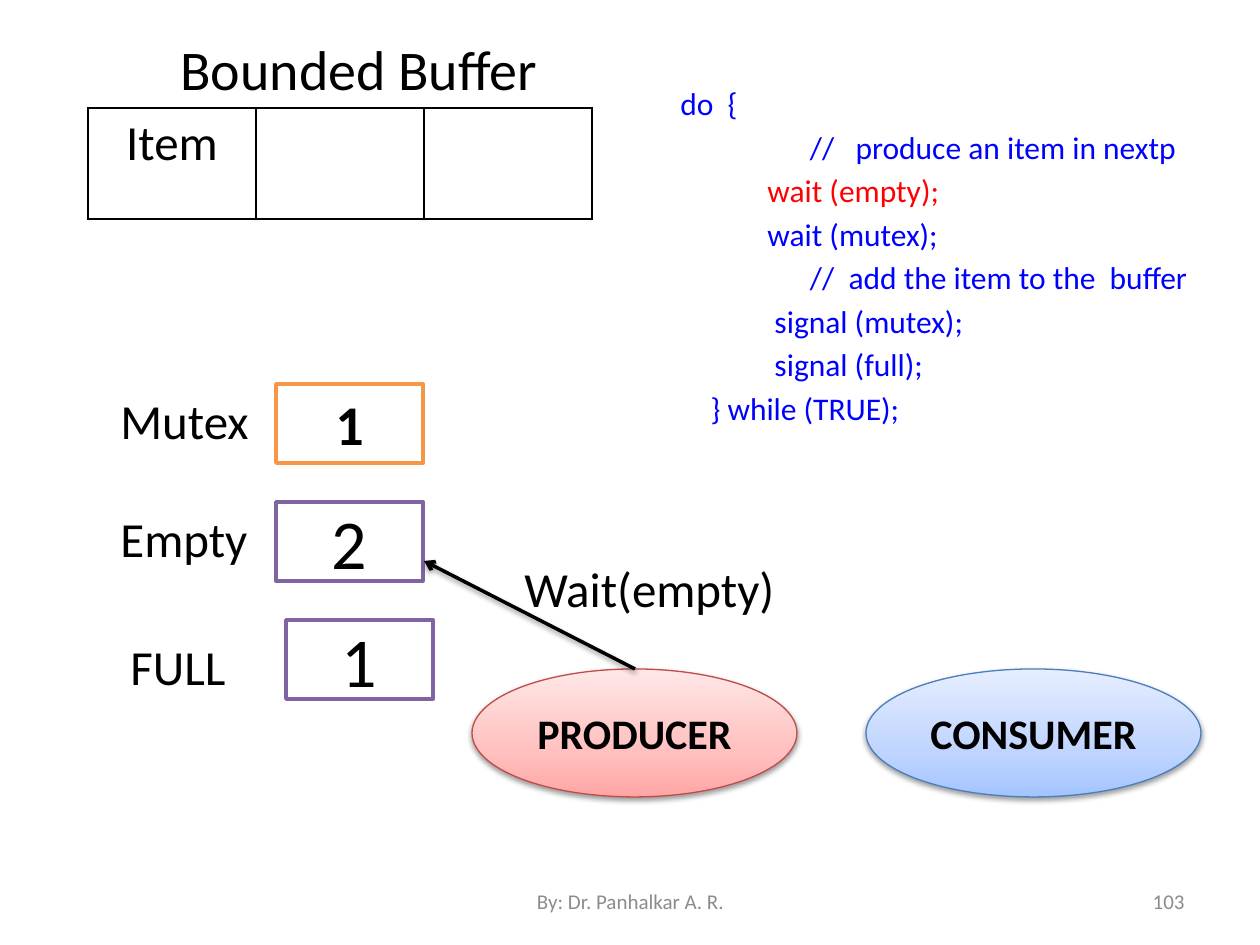
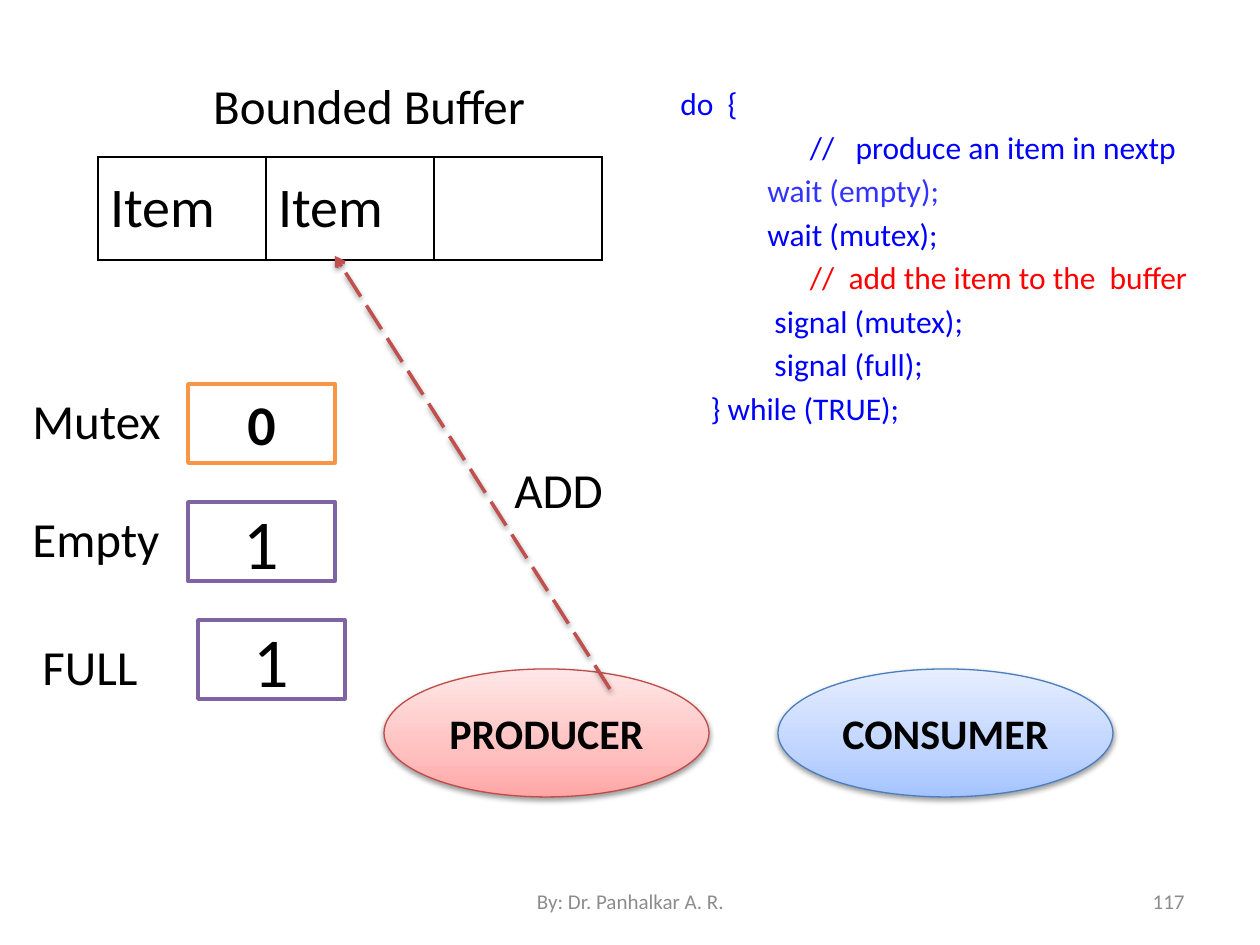
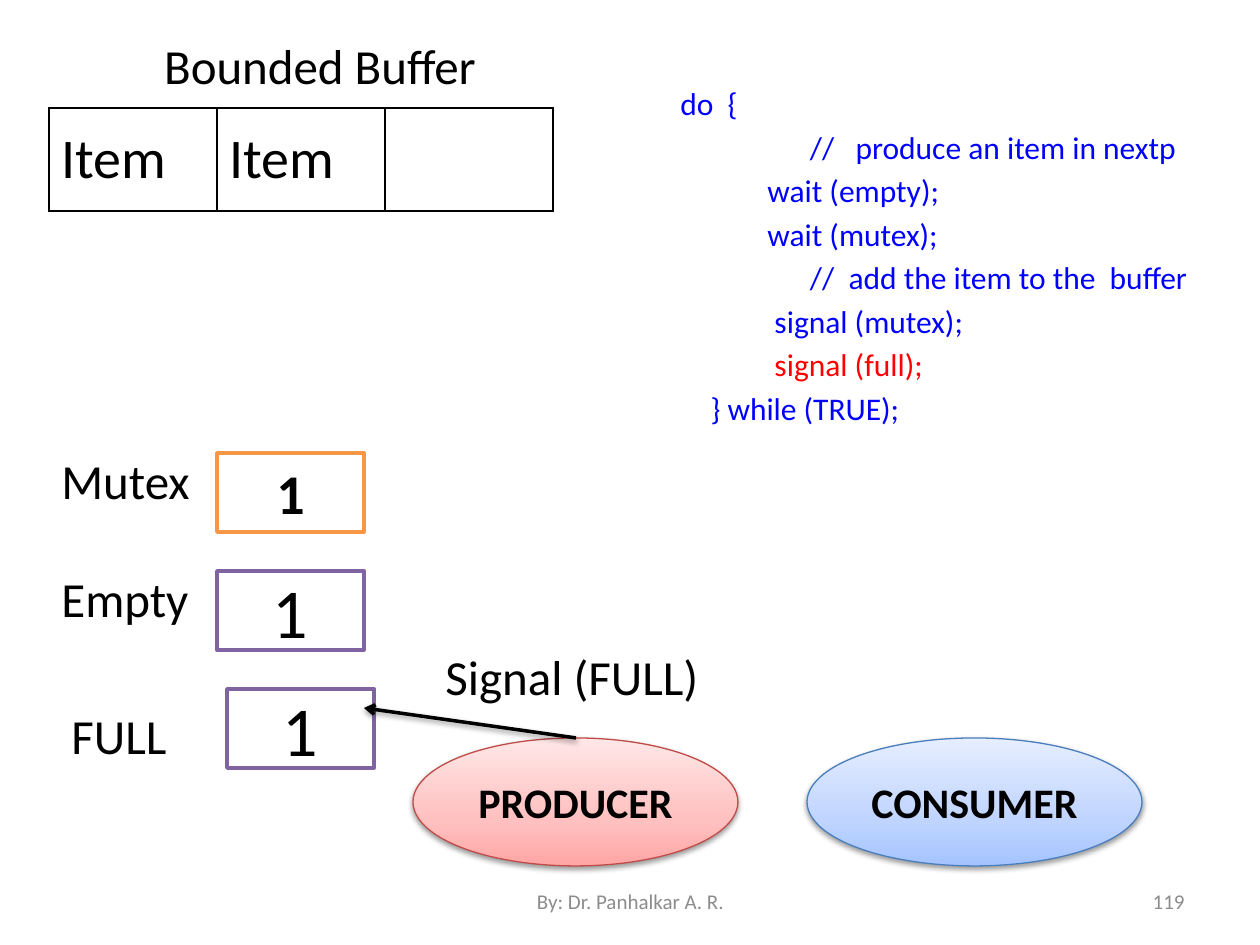
import copy

import lxml.etree
import pptx
import pptx.dml.color
import pptx.enum.dml
import pptx.enum.shapes
import pptx.enum.text
import pptx.oxml
import pptx.oxml.ns
import pptx.util

# Shared look
PX = 914400 // 126
FONT = "Calibri"
BLACK, WHITE, GREY = "000000", "FFFFFF", "8C8C8C"
BLUE, PALE_BLUE, RED, BRICK = "0000FF", "3333FF", "FF0000", "C0504D"
ORANGE, PURPLE = "F79646", "8064A2"
ALIGN = pptx.enum.text.PP_ALIGN
ANCHOR = pptx.enum.text.MSO_ANCHOR
SHAPE = pptx.enum.shapes.MSO_SHAPE

# Content shared by all slides
FOOTER = "By: Dr. Panhalkar A. R."
CODE = [
    "\tdo  {",
    "                         //   produce an item in nextp",
    "                   wait (empty);",
    "                   wait (mutex);",
    "                         //  add the item to the  buffer",
    "                    signal (mutex);",
    "                    signal (full);",
    "           } while (TRUE);",
]
# name, x shift, label width, label drop, outline, text size, bold
SEMAPHORES = [
    ("Mutex", 0, 168, 0, ORANGE, 32, True),
    ("Empty", 0, 256, 0, PURPLE, 40, False),
    ("FULL", 10, 256, 10, PURPLE, 40, False),
]
# name, left, width, outline, gradient stops
PROCESSES = [
    ("PRODUCER", 472, 325, "BF4C48", [(0, "FFA6A5"), (0.35, "FFC0BF"), (1, "FFE7E7")]),
    ("CONSUMER", 866, 335, "4B7EBC", [(0, "A4C4FF"), (0.35, "BFD4FF"), (1, "E6EEFF")]),
]

# What differs: shift moves semaphores and processes together
STEPS = [
    dict(number="103", title=(98, 28, 522, 81, 32), table=(88, 108, 504, 111),
         items=["Item", "", ""], item_style=(28, ALIGN.CENTER, ANCHOR.TOP),
         shift=(0, 0), label_rise=0, values="121", highlights={2: RED},
         arrow=(635, 669, 424, 561, BLACK, False),
         action=("Wait(empty)", 512, 552, 305)),
    dict(number="117", title=(108, 69, 522, 72, 28), table=(98, 157, 504, 103),
         items=["Item", "Item", ""], item_style=(32, ALIGN.LEFT, ANCHOR.MIDDLE),
         shift=(-88, 0), label_rise=0, values="011",
         highlights={2: PALE_BLUE, 4: RED},
         arrow=(610, 689, 335, 256, BRICK, True),
         action=("ADD", 502, 453, 178)),
    dict(number="119", title=(59, 29, 522, 72, 28), table=(49, 108, 504, 103),
         items=["Item", "Item", ""], item_style=(32, ALIGN.LEFT, ANCHOR.MIDDLE),
         shift=(-59, 69), label_rise=9, values="111", highlights={6: RED},
         arrow=(576, 738, 364, 708, BLACK, False),
         action=("Signal (FULL)", 433, 640, 403)),
]


def px(*lengths):
    return [pptx.util.Emu(length * PX) for length in lengths]


def rgb(value):
    return pptx.dml.color.RGBColor.from_string(value)


def xml(parent, markup):
    """Append one drawing element written without its namespace."""
    tag, _, rest = markup.partition(" ")
    element = pptx.oxml.parse_xml(f'<a:{tag} {pptx.oxml.ns.nsdecls("a")} {rest}')
    parent.append(element)
    return element


def write(para, text, size, color=BLACK, bold=False, align=ALIGN.LEFT):
    para.alignment = align
    span = para.add_run()
    span.text = text
    span.font.name, span.font.size = FONT, pptx.util.Pt(size)
    span.font.bold, span.font.color.rgb = bold, rgb(color)


def add_text(page, at, text, size, color=BLACK, align=ALIGN.LEFT, anchor=ANCHOR.TOP):
    frame = page.shapes.add_textbox(*px(*at)).text_frame
    frame.word_wrap, frame.vertical_anchor = True, anchor
    write(frame.paragraphs[0], text, size, color, align=align)


def add_shape(page, kind, at, text, size, outline, weight, bold):
    shape = page.shapes.add_shape(kind, *px(*at))
    shape.shadow.inherit = False
    shape.fill.solid()
    shape.fill.fore_color.rgb = rgb(WHITE)
    shape.line.color.rgb, shape.line.width = rgb(outline), pptx.util.Pt(weight)
    shape.text_frame.vertical_anchor = ANCHOR.MIDDLE
    write(shape.text_frame.paragraphs[0], text, size, bold=bold, align=ALIGN.CENTER)
    return shape


def cast_shadow(properties):
    for old in properties.findall(pptx.oxml.ns.qn("a:effectLst")):
        properties.remove(old)
    xml(properties, 'effectLst ><a:outerShdw blurRad="39400" dist="20300" dir="5400000" '
        'rotWithShape="0"><a:srgbClr val="000000"><a:alpha val="38000"/></a:srgbClr>'
        '</a:outerShdw></a:effectLst>')


def fill_gradient(shape, colors):
    shape.fill.gradient()
    shape.fill.gradient_angle = 90
    stop_list = shape._element.spPr.find(".//" + pptx.oxml.ns.qn("a:gsLst"))
    stop_list.append(copy.deepcopy(stop_list[0]))
    for stop, (position, color) in zip(shape.fill.gradient_stops, colors):
        stop.position = position
        stop.color.rgb = rgb(color)


def add_buffer(page, at, items, style):
    size, align, anchor = style
    table = page.shapes.add_table(1, len(items), *px(*at)).table
    table.first_row = table.horz_banding = False
    for cell, item in zip(table.rows[0].cells, items):
        cell.vertical_anchor = anchor
        for side in "LRTB":
            xml(cell._tc.get_or_add_tcPr(), f'ln{side} w="12700"><a:solidFill>'
                f'<a:srgbClr val="{BLACK}"/></a:solidFill></a:ln{side}>')
        cell.fill.background()
        if item:
            write(cell.text_frame.paragraphs[0], item, size, align=align)


def add_semaphores(page, shift, label_rise, values):
    dx, dy = shift
    for row, (semaphore, value) in enumerate(zip(SEMAPHORES, values)):
        name, indent, width, drop, outline, size, bold = semaphore
        left, top = dx + indent, 384 + dy + 118 * row
        label_top = top + (drop or -label_rise)
        add_text(page, (108 + left, label_top, width, 72), name, 28)
        add_shape(page, SHAPE.RECTANGLE, (276 + left, top, 147, 79),
                  value, size, outline, 2, bold)


def add_processes(page, shift):
    dx, dy = shift
    for name, left, width, outline, colors in PROCESSES:
        oval = add_shape(page, SHAPE.OVAL, (left + dx, 669 + dy, width, 128),
                         name, 24, outline, 0.75, True)
        fill_gradient(oval, colors)
        cast_shadow(oval._element.spPr)


def add_arrow(page, x1, y1, x2, y2, color, dashed):
    straight = pptx.enum.shapes.MSO_CONNECTOR.STRAIGHT
    arrow = page.shapes.add_connector(straight, *px(x1, y1, x2, y2))
    arrow.line.color.rgb, arrow.line.width = rgb(color), pptx.util.Pt(2)
    if dashed:
        arrow.line.dash_style = pptx.enum.dml.MSO_LINE.LONG_DASH
    xml(arrow.line._get_or_add_ln(), 'tailEnd type="arrow"/>')
    cast_shadow(arrow._element.spPr)


def add_code(page, highlights):
    frame = page.shapes.add_textbox(*px(620, 78, 610, 433)).text_frame
    frame.word_wrap = True
    for index, line in enumerate(CODE):
        para = frame.add_paragraph() if index else frame.paragraphs[0]
        if index:
            para.space_before = pptx.util.Pt(3.25)
        # Hanging indent: the tab in the first line reaches the margin
        margin = px(48)[0]
        para._p.get_or_add_pPr().set("marL", str(margin))
        para._p.get_or_add_pPr().set("indent", str(-margin))
        write(para, line, 18, highlights.get(index, BLUE))


def add_step(deck, step):
    page = deck.slides.add_slide(deck.slide_layouts[6])
    add_buffer(page, step["table"], step["items"], step["item_style"])
    add_semaphores(page, step["shift"], step["label_rise"], step["values"])
    *title_at, title_size = step["title"]
    add_text(page, title_at, "Bounded Buffer", title_size, align=ALIGN.CENTER)
    add_processes(page, step["shift"])
    add_arrow(page, *step["arrow"])
    action, left, top, width = step["action"]
    add_text(page, (left, top, width, 72), action, 28)
    add_code(page, step["highlights"])
    # Footer
    add_text(page, (903, 876, 294, 50), step["number"], 12, GREY, ALIGN.RIGHT, ANCHOR.MIDDLE)
    add_text(page, (431, 876, 399, 50), FOOTER, 12, GREY, ALIGN.CENTER, ANCHOR.MIDDLE)


def main():
    deck = pptx.Presentation()
    deck.slide_width, deck.slide_height = px(1260, 945)
    for step in STEPS:
        add_step(deck, step)
    deck.save("out.pptx")


if __name__ == "__main__":
    main()
